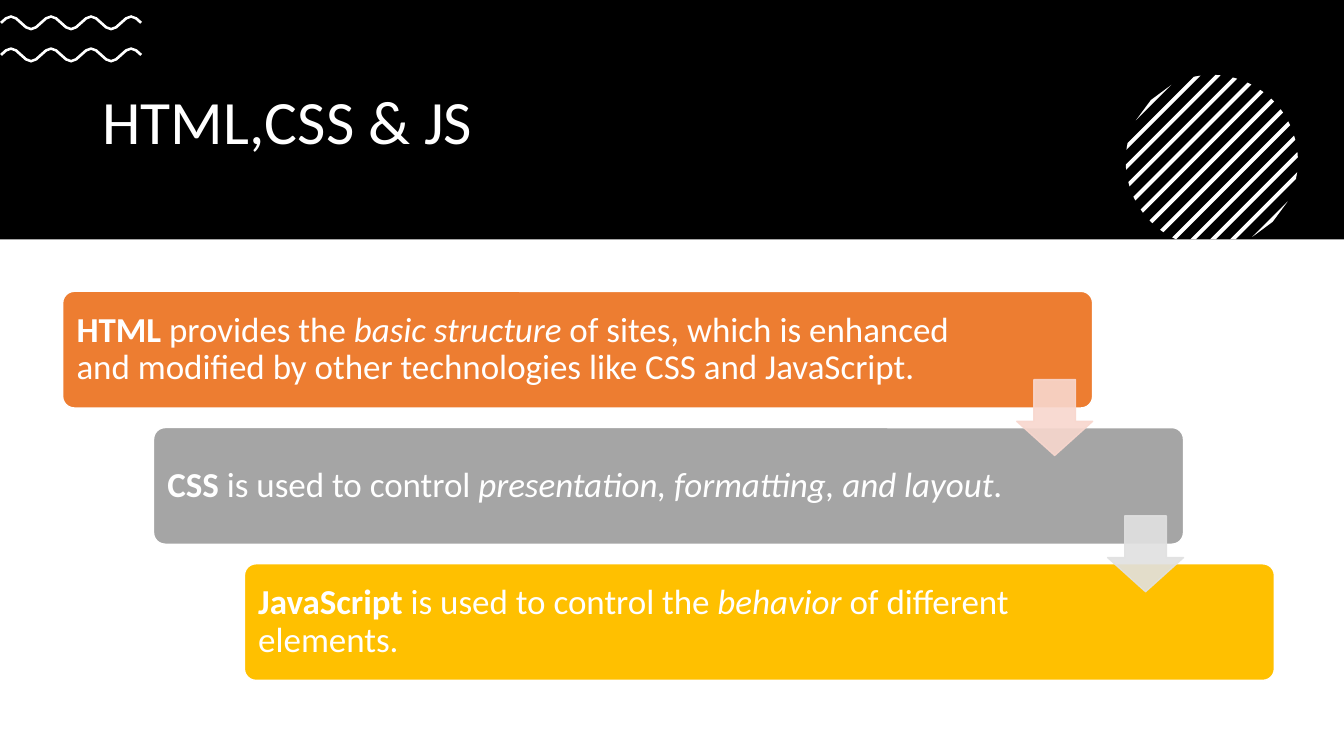
import math

import pptx
import pptx.dml.color
import pptx.enum.shapes
import pptx.enum.text
import pptx.oxml
import pptx.oxml.ns
import pptx.util
from pptx.util import Pt

SHAPES = pptx.enum.shapes.MSO_SHAPE
WHITE = "FFFFFF"
BAND_HEIGHT = 171


def color(hex_text):
    return pptx.dml.color.RGBColor.from_string(hex_text)


def add_run(paragraph, text, font="Calibri", size=25, fill=WHITE, bold=False, italic=False):
    run = paragraph.add_run()
    run.text = text
    run.font.name = font
    run.font.size = Pt(size)
    run.font.color.rgb = color(fill)
    run.font.bold = bold
    run.font.italic = italic


class SlideBuilder:
    def __init__(self, slide):
        self.slide = slide

    def paint(self, shape, fill, line=None, opacity=100):
        shape.shadow.inherit = False
        shape.fill.solid()
        shape.fill.fore_color.rgb = color(fill)
        if line:
            shape.line.color.rgb = color(line)
            shape.line.width = Pt(1)
        else:
            shape.line.fill.background()
        if opacity < 100:
            for element in shape._element.spPr.iter(pptx.oxml.ns.qn("a:srgbClr")):
                alpha = pptx.oxml.parse_xml(
                    f'<a:alpha {pptx.oxml.ns.nsdecls("a")} val="{opacity * 1000}"/>')
                element.append(alpha)

    def preset(self, kind, left, top, width, height, fill, adjustments=(), **style):
        shape = self.slide.shapes.add_shape(kind, Pt(left), Pt(top), Pt(width), Pt(height))
        for index, value in enumerate(adjustments):
            shape.adjustments[index] = value
        self.paint(shape, fill, **style)

    def outline(self, points, fill):
        corners = [(Pt(x), Pt(y)) for x, y in points]
        builder = self.slide.shapes.build_freeform(*corners[0])
        builder.add_line_segments(corners[1:], close=True)
        self.paint(builder.convert_to_shape(), fill)

    def text(self, left, top, width, height, runs, inset=7.2, **style):
        box = self.slide.shapes.add_textbox(Pt(left), Pt(top), Pt(width), Pt(height))
        frame = box.text_frame
        frame.word_wrap = True
        frame.vertical_anchor = pptx.enum.text.MSO_ANCHOR.MIDDLE
        frame.margin_left = frame.margin_right = Pt(7.2)
        frame.margin_top = frame.margin_bottom = Pt(inset)
        paragraph = frame.paragraphs[0]
        paragraph.line_spacing = 0.9
        for text, emphasis in runs:
            add_run(paragraph, text, **emphasis, **style)


def wave_points(middle, amplitude=4.5, period=28.6, half_width=0.95):
    upper, lower = [], []
    for step in range(29):
        x = 0.75 + period * step / 8
        angle = math.pi * (step - 2) / 4
        slope = amplitude * 2 * math.pi / period * math.sin(angle)
        y = middle - amplitude * math.cos(angle)
        length = math.hypot(1, slope)
        shift_x, shift_y = half_width * slope / length, half_width / length
        upper.append((x + shift_x, y - shift_y))
        lower.append((x - shift_x, y + shift_y))
    return upper + lower[::-1]


def stripe_points(offset, center_x=865.6, center_y=115, radius=61.5, half_width=2):
    upper, lower = [], []
    limit = radius * math.sqrt(2)
    start, end = max(offset - half_width, -limit), min(offset + half_width, limit)
    for total in (start, end):
        reach = math.sqrt(max(radius ** 2 - total ** 2 / 2, 0) / 2)
        x, y = center_x + total / 2, center_y + total / 2
        upper.append((x + reach, y - reach))
        overflow = max(y + reach - BAND_HEIGHT, 0)
        lower.append((x - reach + overflow, y + reach - overflow))
    return upper + lower[::-1]


presentation = pptx.Presentation()
presentation.slide_width = Pt(960)
presentation.slide_height = Pt(540)
builder = SlideBuilder(presentation.slides.add_slide(presentation.slide_layouts[6]))

builder.preset(SHAPES.RECTANGLE, 0, 0, 960, BAND_HEIGHT, "000000")
builder.text(66, 45, 828, 88.5, [("HTML,CSS & JS", {})], inset=3.6, size=44)
for middle in (39.2, 16.3):
    builder.outline(wave_points(middle), WHITE)
for index in range(-6, 7):
    builder.outline(stripe_points(14.2 * index), WHITE)

BOLD, ITALIC = {"bold": True}, {"italic": True}
technologies = [
    ("ED7D31", 646, [
        ("HTML\u00a0", BOLD), ("provides the\u00a0", {}), ("basic structure", ITALIC),
        ("\u00a0of sites, which is enhanced and modified by other technologies "
         "like CSS and JavaScript.", {})]),
    ("A5A5A5", 612, [
        ("CSS", BOLD), ("\u00a0is used to control\u00a0", {}),
        ("presentation, formatting, and layout", ITALIC), (".", {})]),
    ("FFC000", 612, [
        ("JavaScript", BOLD), ("\u00a0is used to control the\u00a0", {}),
        ("behavior", ITALIC), ("\u00a0of different elements.", {})]),
]
STEP_X, STEP_Y = 64.9, 97.3
for index, (fill, text_width, runs) in enumerate(technologies):
    left, top = 44.8 + STEP_X * index, 208.1 + STEP_Y * index
    builder.preset(SHAPES.ROUNDED_RECTANGLE, left, top, 735.7, 83.3, fill, [0.1], line=WHITE)
    builder.text(left + 2.8, top + 2.4, text_width, 78.5, runs)

for index, fill in enumerate(("F8D7CE", "E1E1E1")):
    builder.preset(SHAPES.DOWN_ARROW, 726.3 + STEP_X * index, 271.2 + STEP_Y * index, 54.2, 54.2,
                   fill, [0.55, 0.45], line=fill, opacity=90)

presentation.save("out.pptx")
